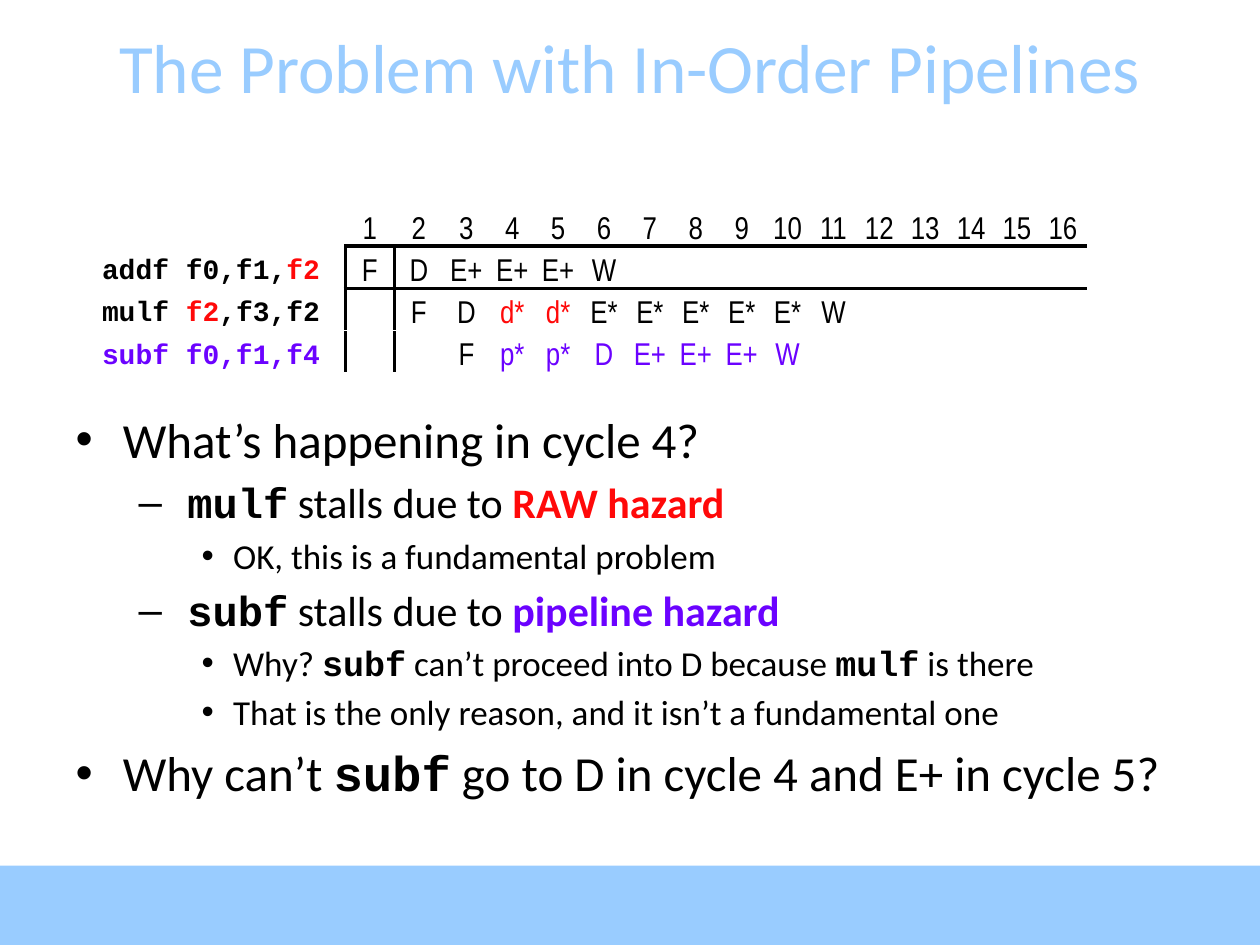
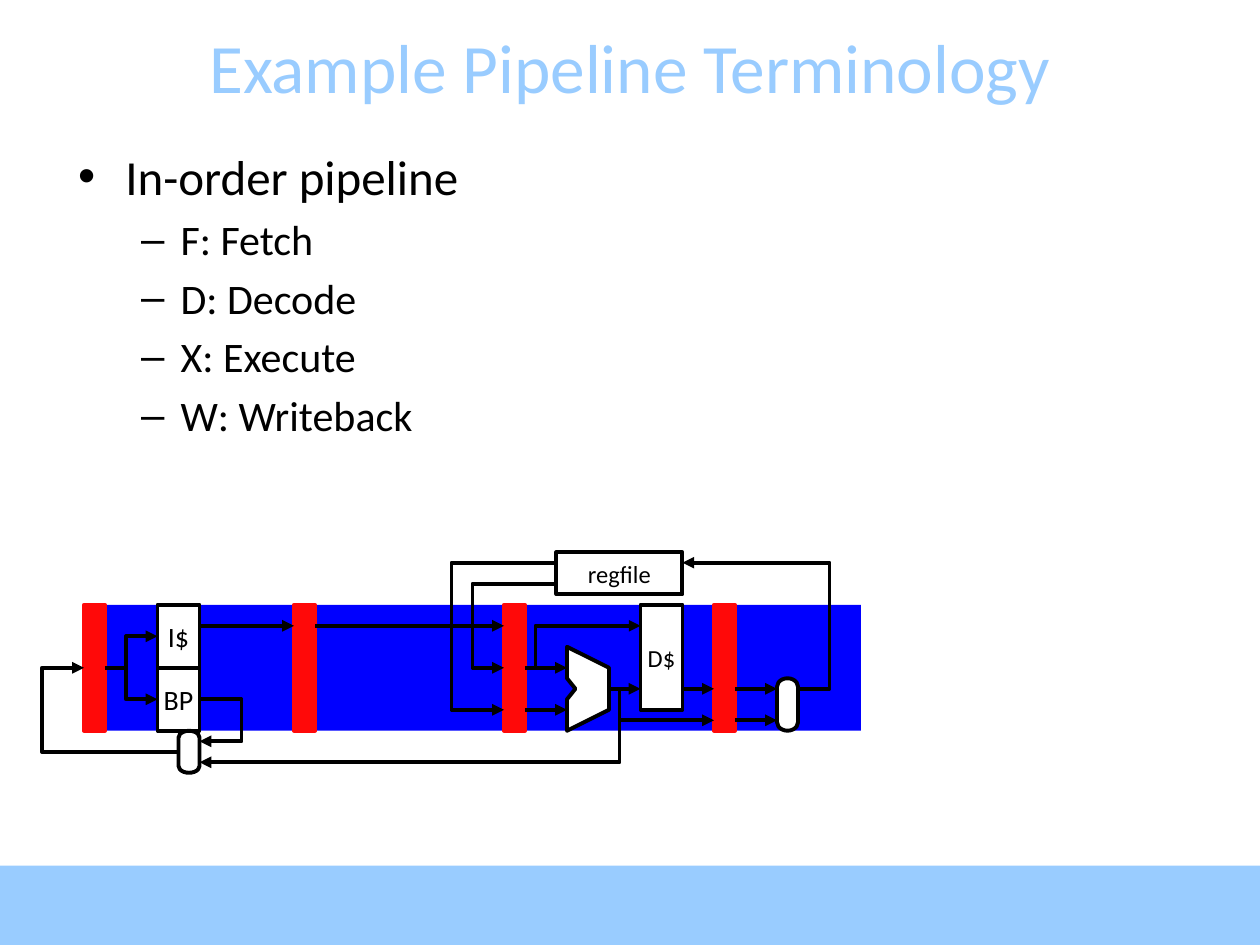
"""Build two slides on in-order pipelines: a stall diagram and the stage terminology."""
from lxml import etree
from pptx import Presentation
from pptx import util as u
from pptx.dml import color
from pptx.enum import shapes, text
from pptx.oxml import ns

Inches, Pt = u.Inches, u.Pt
COLORS = {"band": "99CCFF", "black": "000000", "white": "FFFFFF",
          "red": "FF0909", "violet": "6B02FF", "blue": "0000FF"}
STYLES = {"plain": ("Calibri", False, "black"),
          "title": ("Calibri", False, "band"),
          "raw": ("Calibri", True, "red"),
          "structural": ("Calibri", True, "violet"),
          "code": ("Courier New", True, "black"),
          "code_red": ("Courier New", True, "red"),
          "code_violet": ("Courier New", True, "violet"),
          "stage": ("Arial Narrow", False, "black"),
          "stage_red": ("Arial Narrow", False, "red"),
          "stage_violet": ("Arial Narrow", False, "violet")}
LEVEL_SIZES = [28, 24, 20]
LINE_WIDTH = Pt(2.25)
RECT = shapes.MSO_SHAPE.RECTANGLE
MUX = shapes.MSO_SHAPE.FLOWCHART_TERMINATOR

HAZARD_POINTS = [
    (0, [("What’s happening in cycle 4?", "plain")]),
    (1, [(" ", "plain"), ("mulf", "code"), (" stalls due to ", "plain"), ("RAW hazard", "raw")]),
    (2, [("OK, this is a fundamental problem", "plain")]),
    (1, [(" ", "plain"), ("subf", "code"), (" stalls due to ", "plain"),
         ("pipeline hazard", "structural")]),
    (2, [("Why? ", "plain"), ("subf", "code"), (" can’t proceed into D because ", "plain"),
         ("mulf", "code"), (" is there", "plain")]),
    (2, [("That is the only reason, and it isn’t a fundamental one", "plain")]),
    (0, [("Why can’t ", "plain"), ("subf", "code"),
         (" go to D in cycle 4 and E+ in cycle 5?", "plain")]),
]
STAGE_POINTS = [(0, [("In-order pipeline", "plain")])] + [
    (1, [(stage, "plain")])
    for stage in ("F: Fetch", "D: Decode", "X: Execute", "W: Writeback")]

CYCLES = 16
INSTRUCTIONS = [
    ([("addf f0,f1,", "code"), ("f2", "code_red")], 1,
     [("F D E+ E+ E+ W", "stage")]),
    ([("mulf ", "code"), ("f2", "code_red"), (",f3,f2", "code")], 2,
     [("F D", "stage"), ("d* d*", "stage_red"), ("E* E* E* E* E* W", "stage")]),
    ([("subf f0,f1,f4", "code_violet")], 3,
     [("F", "stage"), ("p* p* D E+ E+ E+ W", "stage_violet")]),
]

CELL = 1 / 12
DATAPATH_TOP = 4.8
LATCH_COLUMNS = [8, 28, 48, 68]
UNITS = [("regfile", 14, 53, -5, 12, 4), ("D$", 14, 61, 0, 4, 10),
         ("I$", 16, 15, 0, 4, 6), ("BP", 16, 15, 6, 4, 6)]
MUXES = [(72.5, 8.5, 5, 2), (16, 13, 4, 2)]
ALU = [(54, 4), (54, 7), (54.8, 8), (54, 9), (54, 12), (58, 10), (58, 6)]
FETCH_STEM = [(10, 6), (12, 6)]
WIRES = [
    [(12, 7), (12, 3), (15, 3)],
    [(12, 6), (12, 9), (15, 9)],
    [(19, 2), (28, 2)],
    [(30, 2), (48, 2)],
    [(19, 9), (23, 9), (23, 13), (19, 13)],
    [(59, 8), (59, 15), (19, 15)],
    [(17, 14), (4, 14), (4, 6), (8, 6)],
    [(53, -2), (45, -2), (45, 6), (48, 6)],
    [(53, -4), (43, -4), (43, 10), (48, 10)],
    [(50, 6), (54, 6)],
    [(50, 10), (54, 10)],
    [(51, 6), (51, 2), (61, 2)],
    [(58, 8), (61, 8)],
    [(65, 8), (68, 8)],
    [(59, 8), (59, 11), (68, 11)],
    [(70, 8), (74, 8)],
    [(70, 11), (74, 11)],
    [(76, 8), (79, 8), (79, -4), (65, -4)],
]


def rgb(name):
    return color.RGBColor.from_string(COLORS[name])


def grid_point(x, y):
    return Inches(x * CELL), Inches(DATAPATH_TOP + y * CELL)


class Deck:
    def __init__(self):
        self.prs = Presentation()
        self.prs.slide_width, self.prs.slide_height = Inches(10), Inches(7.5)
        self.layout = self.prs.slide_layouts[1]
        self.slide = None
        self.sites = {}

    def new_slide(self, title, points, area):
        first = self.slide is None
        self.slide = self.prs.slides.add_slide(self.layout)
        self.sites = {}
        if first:
            self.footer_band()
        heading = self.slide.shapes.title
        self.place(heading, (0, 0.21, 10, 0.63))
        self.add_runs(heading.text_frame.paragraphs[0], [(title, "title")], 39.6)
        body = self.slide.placeholders[1]
        self.place(body, area)
        for index, (level, parts) in enumerate(points):
            frame = body.text_frame
            paragraph = frame.add_paragraph() if index else frame.paragraphs[0]
            paragraph.level = level
            self.add_runs(paragraph, parts, LEVEL_SIZES[level])

    def footer_band(self):
        band = self.slide.shapes.add_shape(
            RECT, 0, Inches(6.87), Inches(10), Inches(0.63))
        self.paint(band, "band")
        self.layout.shapes.element.insert(2, band.element)

    def place(self, holder, area):
        holder.left, holder.top, holder.width, holder.height = map(Inches, area)
        holder.text_frame.auto_size = text.MSO_AUTO_SIZE.NONE

    def add_runs(self, paragraph, parts, size):
        for words, style in parts:
            run = paragraph.add_run()
            run.text = words
            font = run.font
            font.name, font.bold, ink = STYLES[style]
            font.size = Pt(size)
            font.color.rgb = rgb(ink)

    def paint(self, shape, fill=None, line=None):
        shape.shadow.inherit = False
        if fill:
            shape.fill.solid()
            shape.fill.fore_color.rgb = rgb(fill)
        else:
            shape.fill.background()
        if line:
            self.stroke(shape, line)
        else:
            shape.line.fill.background()

    def stroke(self, shape, line):
        shape.line.color.rgb = rgb(line)
        shape.line.width = LINE_WIDTH

    def box(self, x, y, width, height, fill, line=None, kind=RECT):
        shape = self.slide.shapes.add_shape(
            kind, *grid_point(x, y), Inches(width * CELL), Inches(height * CELL))
        self.paint(shape, fill, line)
        if kind == RECT:
            self.sites[x, y + height / 2] = shape, 1
            self.sites[x + width, y + height / 2] = shape, 3
        return shape

    def unit(self, label, size, *area):
        frame = self.box(*area, "white", "black").text_frame
        frame.word_wrap = False
        frame.vertical_anchor = text.MSO_ANCHOR.MIDDLE
        frame.paragraphs[0].alignment = text.PP_ALIGN.CENTER
        self.add_runs(frame.paragraphs[0], [(label, "plain")], size)

    def outline(self, points, closed=False):
        start, *rest = [grid_point(*point) for point in points]
        builder = self.slide.shapes.build_freeform(*start)
        builder.add_line_segments(rest, close=closed)
        shape = builder.convert_to_shape()
        self.paint(shape, "white" if closed else None, "black")
        return shape

    def straight(self, start, end):
        line = self.slide.shapes.add_connector(
            shapes.MSO_CONNECTOR.STRAIGHT, *grid_point(*start), *grid_point(*end))
        if start in self.sites:
            line.begin_connect(*self.sites[start])
        if end in self.sites:
            line.end_connect(*self.sites[end])
        self.stroke(line, "black")
        etree.SubElement(line.element.spPr, ns.qn("a:effectLst"))
        return line

    def wire(self, points, arrow=True):
        wire = self.straight(*points) if len(points) == 2 else self.outline(points)
        if arrow:
            stroke = wire.element.spPr.find(ns.qn("a:ln"))
            etree.SubElement(stroke, ns.qn("a:tailEnd"), type="triangle")

    def border(self, cell, sides):
        properties = cell._tc.get_or_add_tcPr()
        for side in sides:
            edge = etree.SubElement(properties, ns.qn(f"a:ln{side}"), w=str(LINE_WIDTH))
            fill = etree.SubElement(edge, ns.qn("a:solidFill"))
            etree.SubElement(fill, ns.qn("a:srgbClr"), val=COLORS["black"])

    def fill_cell(self, cell, parts, size, align):
        paragraph = cell.text_frame.paragraphs[0]
        paragraph.alignment = align
        paragraph.line_spacing = Pt(24)
        self.add_runs(paragraph, parts, size)

    def timing_table(self):
        label_width, early_width, total_width = 1.93, 0.39, 7.81
        late_width = (total_width - label_width - 2 * early_width) / (CYCLES - 2)
        rows = len(INSTRUCTIONS) + 1
        timing = self.slide.shapes.add_table(
            rows, CYCLES + 1, Inches(0.81), Inches(1.62),
            Inches(total_width), Pt(24) * rows).table
        timing.first_row = timing.horz_banding = False
        widths = [label_width] + [early_width] * 2 + [late_width] * (CYCLES - 2)
        for column, width in zip(timing.columns, widths):
            column.width = Inches(width)
        for r in range(rows):
            timing.rows[r].height = Pt(24)
            for c in range(CYCLES + 1):
                cell = timing.cell(r, c)
                cell.margin_left = cell.margin_right = cell.margin_top = cell.margin_bottom = 0
                cell.vertical_anchor = text.MSO_ANCHOR.MIDDLE
                rules = {"L": r > 0 and c == 1, "R": r > 0 and c == 0,
                         "T": r == 1 and c > 0, "B": r == 0 and c > 0}
                self.border(cell, [side for side, drawn in rules.items() if drawn])
                cell.fill.background()
        center = text.PP_ALIGN.CENTER
        for cycle in range(1, CYCLES + 1):
            self.fill_cell(timing.cell(0, cycle), [(str(cycle), "stage")], 18, center)
        for r, (label, start, groups) in enumerate(INSTRUCTIONS, 1):
            self.fill_cell(timing.cell(r, 0), label, 16, text.PP_ALIGN.LEFT)
            stages = [(stage, style) for names, style in groups for stage in names.split()]
            for cycle, stage in enumerate(stages, start):
                self.fill_cell(timing.cell(r, cycle), [stage], 18, center)

    def datapath(self):
        self.box(10, 0, 72, 12, "blue")
        for column in LATCH_COLUMNS:
            self.box(column, 0, 2, 12, "red", "red")
        for unit in UNITS:
            self.unit(*unit)
        self.outline(ALU, closed=True)
        for area in MUXES:
            self.box(*area, "white", "black", MUX).rotation = 90
        self.wire(FETCH_STEM, arrow=False)
        for points in WIRES:
            self.wire(points)


def main():
    deck = Deck()
    deck.new_slide("The Problem with In-Order Pipelines", HAZARD_POINTS, (0.5, 3.2, 9, 3.62))
    deck.timing_table()
    deck.new_slide("Example Pipeline Terminology", STAGE_POINTS, (0.52, 1.11, 9, 5.56))
    deck.datapath()
    deck.prs.save("out.pptx")


if __name__ == "__main__":
    main()
